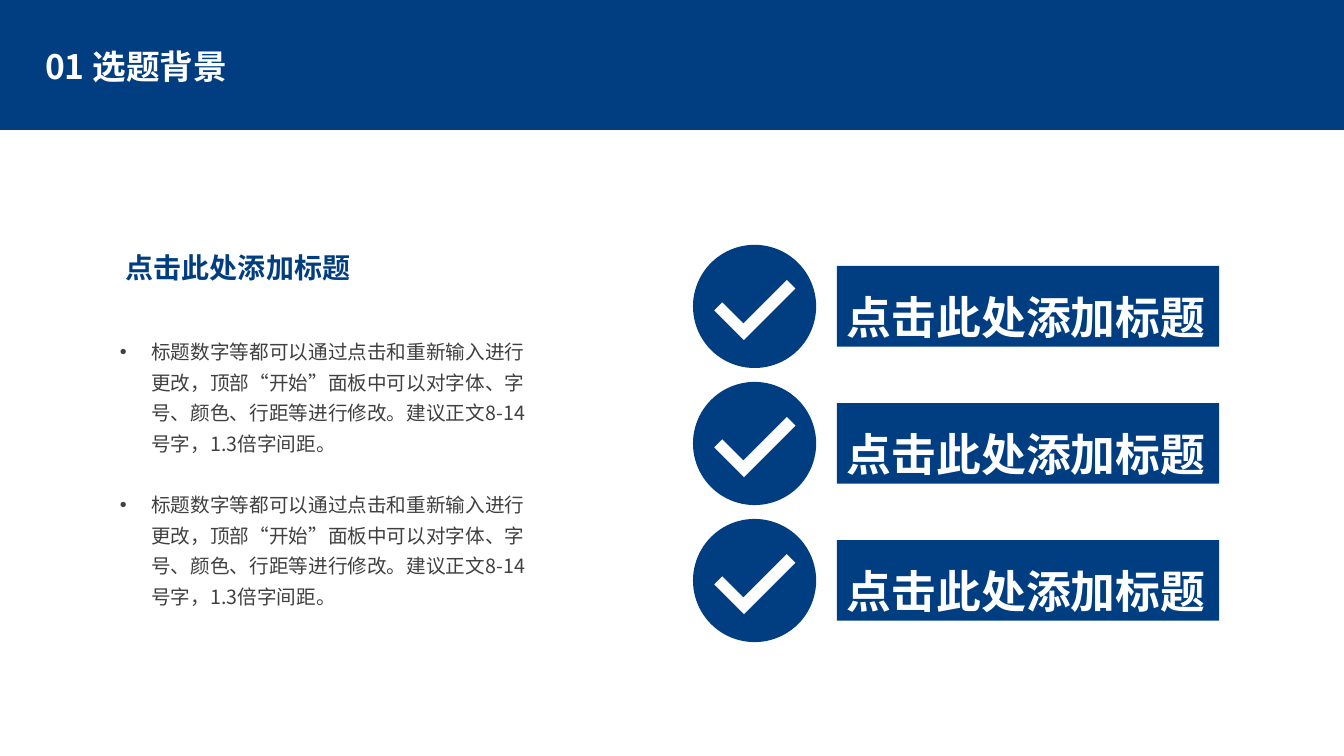
import pptx
import pptx.dml.color
import pptx.enum.shapes
import pptx.enum.text
import pptx.oxml.ns
import pptx.util
from lxml import etree

Pt = pptx.util.Pt
SHAPES = pptx.enum.shapes.MSO_SHAPE
ANCHOR = pptx.enum.text.MSO_ANCHOR

NAVY = pptx.dml.color.RGBColor(0x00, 0x3E, 0x81)
WHITE = pptx.dml.color.RGBColor(0xFF, 0xFF, 0xFF)
GREY = pptx.dml.color.RGBColor(0x40, 0x40, 0x40)

FONT = "Noto Sans CJK SC"
SLIDE_WIDTH, SLIDE_HEIGHT = 960, 540
HEADER_HEIGHT = 92.9
ITEM_TOP, ITEM_PITCH, ITEM_COUNT = 174.9, 97.9, 3

PLACEHOLDER_TITLE = "点击此处添加标题"
BODY = (
    "标题数字等都可以通过点击和重新输入进行更改，顶部“开始”面板中可以对字体、"
    "字号、颜色、行距等进行修改。建议正文8-14号字，1.3倍字间距。"
)


def add_filled_shape(shapes, kind, left, top, width, height, color):
    shape = shapes.add_shape(kind, Pt(left), Pt(top), Pt(width), Pt(height))
    shape.shadow.inherit = False
    shape.fill.solid()
    shape.fill.fore_color.rgb = color
    shape.line.fill.background()
    return shape


def add_text_box(slide, left, top, width, height, wrap=False, anchor=ANCHOR.TOP):
    box = slide.shapes.add_textbox(Pt(left), Pt(top), Pt(width), Pt(height))
    box.text_frame.word_wrap = wrap
    box.text_frame.vertical_anchor = anchor
    return box.text_frame


def write_run(paragraph, text, size, color, line_spacing, bold=False):
    paragraph.alignment = pptx.enum.text.PP_ALIGN.LEFT
    paragraph.line_spacing = line_spacing
    run = paragraph.add_run()
    run.text = text
    run.font.size = Pt(size)
    run.font.bold = bold
    run.font.name = FONT
    run.font.color.rgb = color
    # East Asian characters take their typeface from a separate element
    east_asian = etree.SubElement(run.font._element, pptx.oxml.ns.qn("a:ea"))
    east_asian.set("typeface", FONT)


def add_bullet(paragraph, indent):
    properties = paragraph._p.get_or_add_pPr()
    properties.set("marL", str(Pt(indent)))
    properties.set("indent", str(-Pt(indent)))
    bullet_font = etree.SubElement(properties, pptx.oxml.ns.qn("a:buFont"))
    bullet_font.set("typeface", "Arial")
    bullet = etree.SubElement(properties, pptx.oxml.ns.qn("a:buChar"))
    bullet.set("char", "•")


def add_bullet_list(slide, items):
    frame = add_text_box(slide, 78.5, 234.5, 306, 206, wrap=True)
    for index, item in enumerate(items):
        paragraph = frame.paragraphs[0] if index == 0 else frame.add_paragraph()
        add_bullet(paragraph, 22.5)
        if index:
            paragraph.space_before = Pt(22)
        write_run(paragraph, item, 14, GREY, Pt(21.8))


def add_check_item(slide, top, label):
    # Round badge with a tick made from a turned corner
    badge = slide.shapes.add_group_shape()
    add_filled_shape(badge.shapes, SHAPES.OVAL, 495, top, 88, 88, NAVY)
    tick = add_filled_shape(badge.shapes, SHAPES.CORNER, 513.2, top + 24, 52, 30, WHITE)
    tick.adjustments[0] = 0.289
    tick.adjustments[1] = 0.27
    tick.rotation = 315

    # Label bar
    bar = add_filled_shape(
        slide.shapes, SHAPES.RECTANGLE, 597.8, top + 15.1, 273, 57.6, NAVY
    )
    bar.text_frame.word_wrap = False
    bar.text_frame.vertical_anchor = ANCHOR.TOP
    write_run(bar.text_frame.paragraphs[0], label, 32, WHITE, Pt(52), bold=True)


def main():
    presentation = pptx.Presentation()
    presentation.slide_width = Pt(SLIDE_WIDTH)
    presentation.slide_height = Pt(SLIDE_HEIGHT)
    slide = presentation.slides.add_slide(presentation.slide_layouts[6])

    # Navy background with a white content area
    slide.background.fill.solid()
    slide.background.fill.fore_color.rgb = NAVY
    add_filled_shape(
        slide.shapes, SHAPES.RECTANGLE,
        0, HEADER_HEIGHT, SLIDE_WIDTH, SLIDE_HEIGHT - HEADER_HEIGHT, WHITE,
    )

    # Section title
    title = add_text_box(slide, 25.2, 20.2, 417.6, 56.9, wrap=True, anchor=ANCHOR.MIDDLE)
    write_run(title.paragraphs[0], "01 选题背景", 24, WHITE, 0.9, bold=True)

    # Left column: heading and bullets
    heading = add_text_box(slide, 82.8, 167, 176.4, 36)
    write_run(heading.paragraphs[0], PLACEHOLDER_TITLE, 20, NAVY, Pt(32.6), bold=True)
    add_bullet_list(slide, [BODY] * 2)

    # Right column: checked items
    for index in range(ITEM_COUNT):
        add_check_item(slide, ITEM_TOP + index * ITEM_PITCH, PLACEHOLDER_TITLE)

    presentation.save("out.pptx")


if __name__ == "__main__":
    main()
